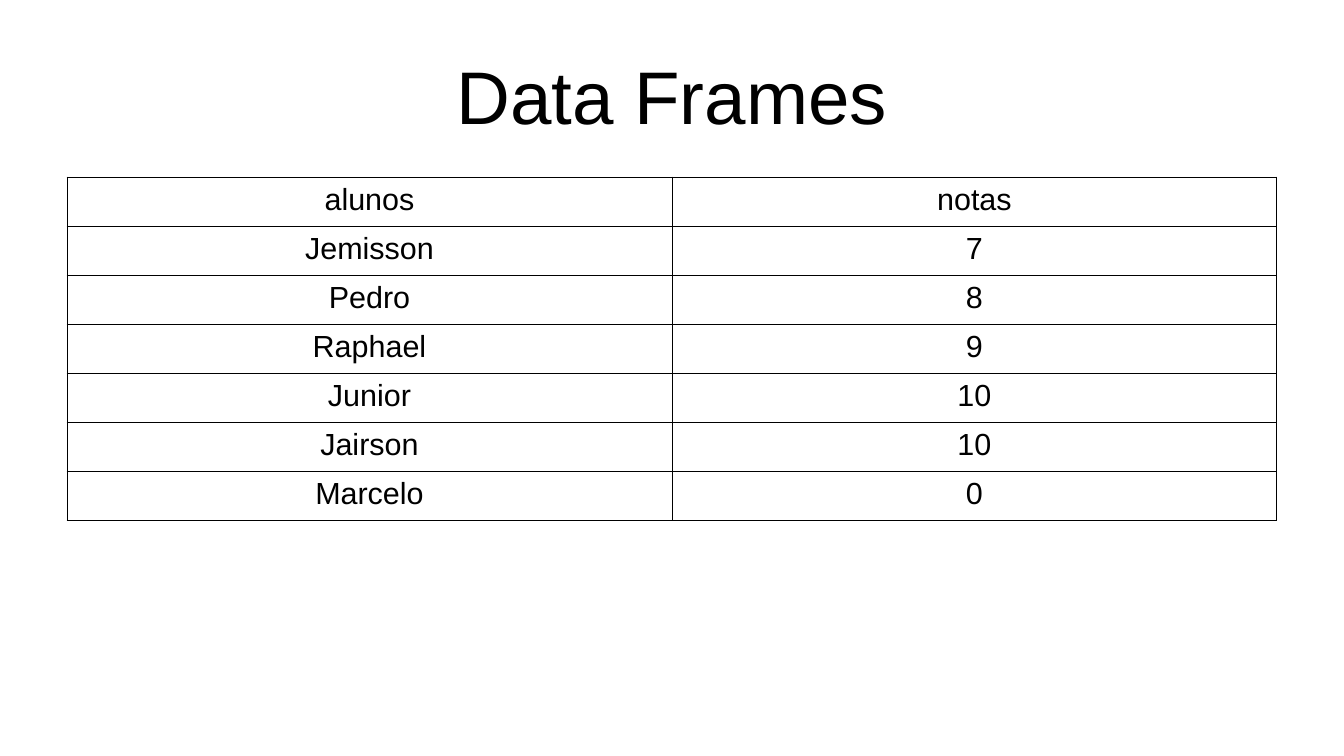
"""Build a slide with a table of students and their grades."""
from lxml.etree import SubElement
from pptx import Presentation
from pptx.dml.color import RGBColor
from pptx.enum.text import MSO_ANCHOR as Anchor, MSO_AUTO_SIZE as AutoSize, PP_ALIGN as Align
from pptx.oxml.ns import qn
from pptx.util import Emu, Pt

BLACK = RGBColor(0x00, 0x00, 0x00)
WHITE = RGBColor(0xFF, 0xFF, 0xFF)
FONT = "Arial"
PX_PER_INCH = 122
BORDER_WIDTH = Pt(0.57)
TITLE_ONLY = 5

GRADES = [
    ("alunos", "notas"),
    ("Jemisson", "7"),
    ("Pedro", "8"),
    ("Raphael", "9"),
    ("Junior", "10"),
    ("Jairson", "10"),
    ("Marcelo", "0"),
]


def px(count):
    return Emu(round(count * 914400 / PX_PER_INCH))


def write_text(frame, text, *, size, color=BLACK, align=Align.CENTER):
    para = frame.paragraphs[0]
    para.alignment = align
    span = para.add_run()
    span.text = text
    span.font.name = FONT
    span.font.size = Pt(size)
    span.font.bold = False
    span.font.color.rgb = color


def place_title(page, text, left, top, width, height):
    box = page.shapes.title
    box.left, box.top, box.width, box.height = map(px, (left, top, width, height))
    frame = box.text_frame
    frame.margin_left = frame.margin_right = frame.margin_top = frame.margin_bottom = 0
    frame.vertical_anchor = Anchor.MIDDLE
    frame.word_wrap = True
    frame.auto_size = AutoSize.NONE
    write_text(frame, text, size=44)


def draw_borders(cell):
    properties = cell._tc.get_or_add_tcPr()
    for side in ("a:lnL", "a:lnR", "a:lnT", "a:lnB"):
        line = SubElement(properties, qn(side), w=str(BORDER_WIDTH))
        fill = SubElement(line, qn("a:solidFill"))
        SubElement(fill, qn("a:srgbClr"), val=str(BLACK))


def add_grid(page, records, left, top, column_width, row_height):
    rows, columns = len(records), len(records[0])
    table = page.shapes.add_table(
        rows, columns, px(left), px(top),
        px(column_width * columns), px(row_height * rows),
    ).table
    table.first_row = False
    table.horz_banding = False
    for row, record in zip(table.rows, records):
        row.height = px(row_height)
        for cell, text in zip(row.cells, record):
            draw_borders(cell)
            cell.fill.solid()
            cell.fill.fore_color.rgb = WHITE
            write_text(cell.text_frame, text, size=18)


def main():
    deck = Presentation()
    deck.slide_width, deck.slide_height = px(1344), px(756)
    page = deck.slides.add_slide(deck.slide_layouts[TITLE_ONLY])
    place_title(page, "Data Frames", 67, 31, 1210, 127)
    add_grid(page, GRADES, left=67, top=177, column_width=605, row_height=49)
    deck.save("out.pptx")


if __name__ == "__main__":
    main()
